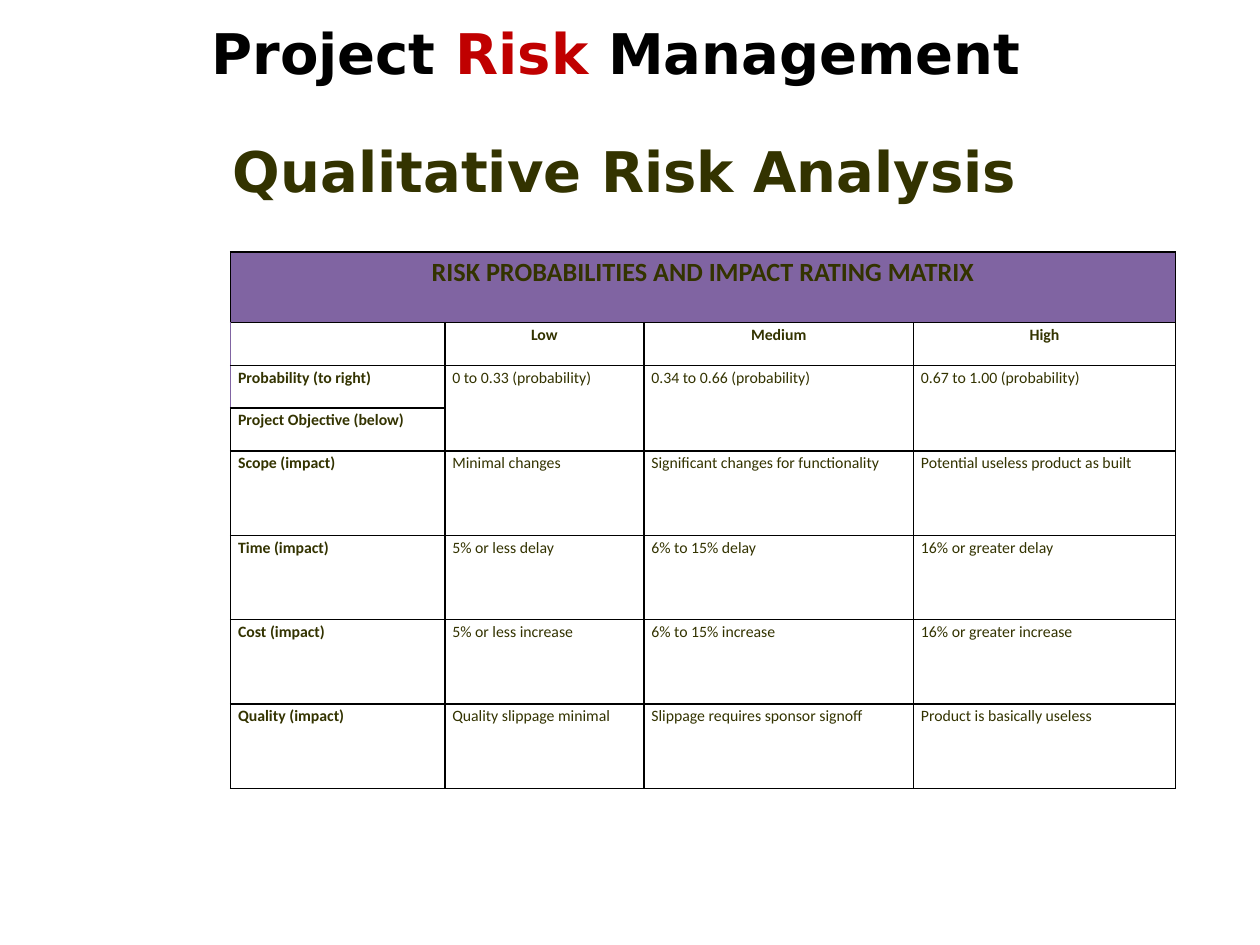
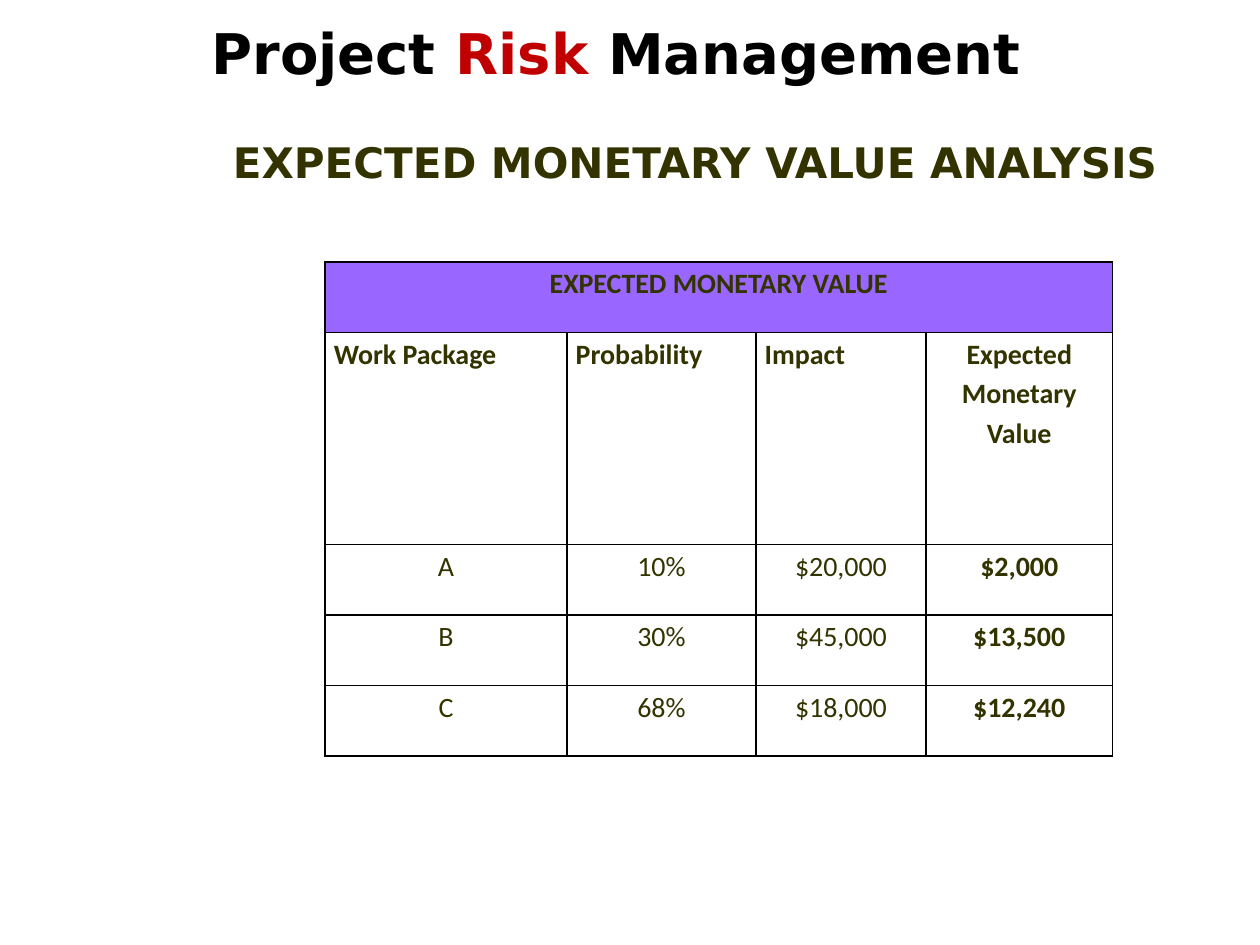
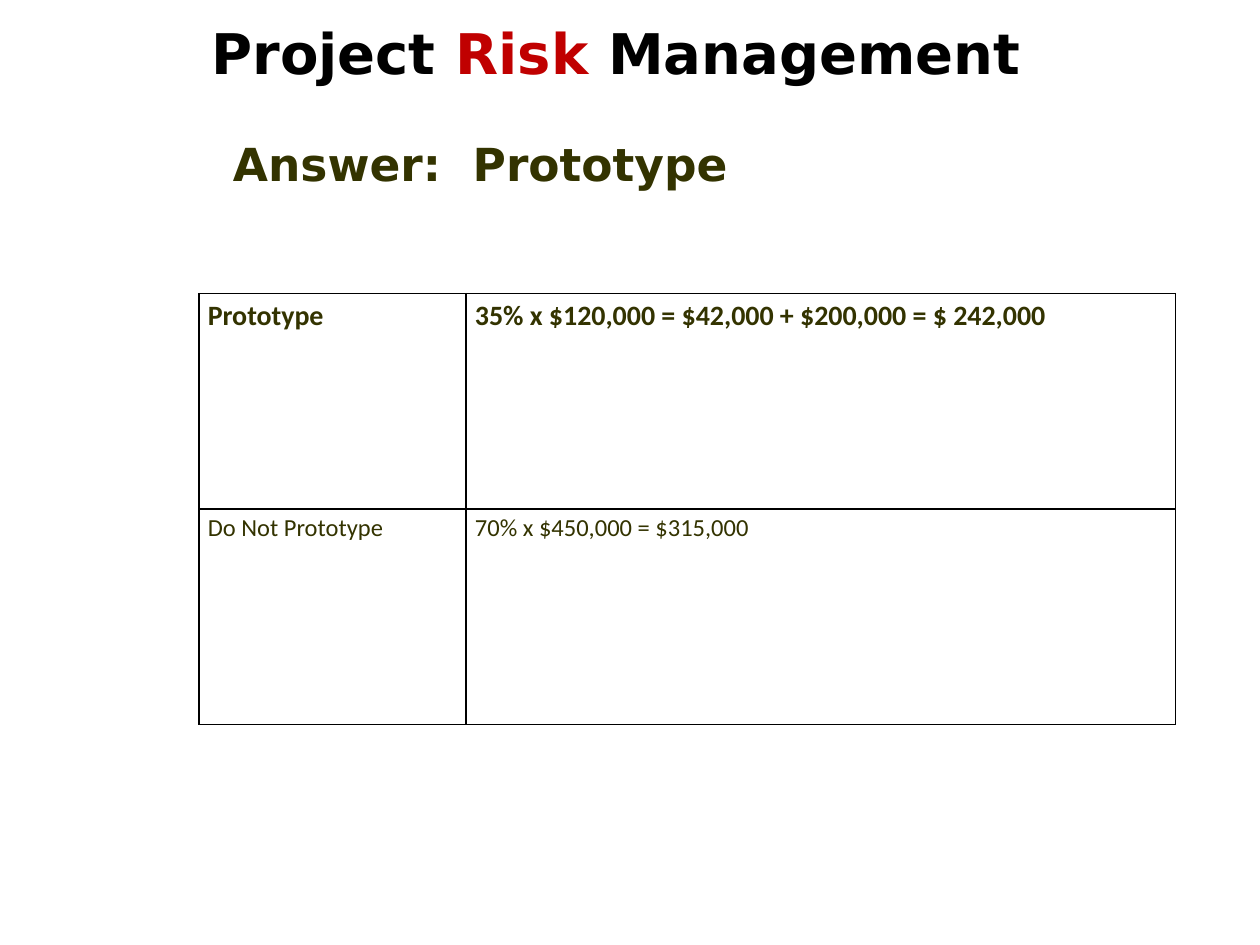
from lxml.etree import SubElement
from pptx import Presentation
from pptx.dml.color import RGBColor
from pptx.enum.text import MSO_ANCHOR, PP_ALIGN
from pptx.oxml.ns import qn
from pptx.util import Inches, Pt

TITLE_FONT, TABLE_FONT = "DejaVu Sans", "Calibri"
BLACK, RED, OLIVE, PURPLE, VIOLET = "000000", "C00000", "333300", "8064A2", "9966FF"


def color(hex_string):
    return RGBColor.from_string(hex_string)


def add_run(p, text, size, font, hex_string, bold=True):
    r = p.add_run()
    r.text = text
    r.font.size = Pt(size)
    r.font.name = font
    r.font.bold = bold
    r.font.color.rgb = color(hex_string)


# Content: spans are (row, column, last row, last column);
# size, bold and centered are rules on row i and column j
slides = [
    dict(
        heading="Qualitative Risk Analysis", heading_size=32, heading_width=7.58,
        left=1.83, top=2, inset=0.06, band=PURPLE,
        widths=[1.7, 1.58, 2.14, 2.08],
        heights=[0.56] + [0.34] * 3 + [0.67] * 4,
        spans=[(0, 0, 0, 3)] + [(2, j, 3, j) for j in (1, 2, 3)],
        purple_left=[(1, 0), (2, 0)],
        size=lambda i, j: 15 if i == 0 else 9,
        bold=lambda i, j: i < 2 or j == 0,
        centered=lambda i, j: i < 2,
        rows=[
            ["RISK PROBABILITIES AND IMPACT RATING MATRIX"],
            ["", "Low", "Medium", "High"],
            ["Probability (to right)", "0 to 0.33 (probability)",
             "0.34 to 0.66 (probability)", "0.67 to 1.00 (probability)"],
            ["Project Objective (below)"],
            ["Scope (impact)", "Minimal changes",
             "Significant changes for functionality",
             "Potential useless product as built"],
            ["Time (impact)", "5% or less delay", "6% to 15% delay",
             "16% or greater delay"],
            ["Cost (impact)", "5% or less increase", "6% to 15% increase",
             "16% or greater increase"],
            ["Quality (impact)", "Quality slippage minimal",
             "Slippage requires sponsor signoff", "Product is basically useless"],
        ],
    ),
    dict(
        heading="EXPECTED MONETARY VALUE ANALYSIS", heading_size=24, heading_width=8.25,
        left=2.58, top=2.08, inset=0.07, band=VIOLET,
        widths=[1.92, 1.5, 1.35, 1.48],
        heights=[0.56, 1.68] + [0.56] * 3,
        spans=[(0, 0, 0, 3)],
        purple_left=[],
        size=lambda i, j: 16,
        bold=lambda i, j: i < 2 or j == 3,
        centered=lambda i, j: i != 1 or j == 3,
        rows=[
            ["EXPECTED MONETARY VALUE"],
            ["Work Package", "Probability", "Impact", "Expected Monetary Value"],
            ["A", "10%", "$20,000", "$2,000"],
            ["B", "30%", "$45,000", "$13,500"],
            ["C", "68%", "$18,000", "$12,240"],
        ],
    ),
    dict(
        heading="Answer:  Prototype", heading_size=26, heading_width=7.58,
        left=1.58, top=2.33, inset=0.07, band=None,
        widths=[2.12, 5.63],
        heights=[1.71] * 2,
        spans=[],
        purple_left=[],
        size=lambda i, j: 16 if i == 0 else 14,
        bold=lambda i, j: i == 0,
        centered=lambda i, j: False,
        rows=[
            ["Prototype", "35% x $120,000 = $42,000 + $200,000 = $ 242,000"],
            ["Do Not Prototype", "70% x $450,000 = $315,000"],
        ],
    ),
]

prs = Presentation()
prs.slide_width, prs.slide_height = Inches(10), Inches(7.5)

for d in slides:
    s = prs.slides.add_slide(prs.slide_layouts[6])

    # Title, raised one line above the bottom of its box
    tf = s.shapes.add_textbox(Inches(1.58), Inches(0.25), Inches(7.83), Inches(1)).text_frame
    tf.word_wrap = True
    tf.vertical_anchor = MSO_ANCHOR.BOTTOM
    tf.margin_bottom = Inches(0.57)
    for text, hex_string in [("Project ", BLACK), ("Risk", RED), (" Management", BLACK)]:
        add_run(tf.paragraphs[0], text, 32, TITLE_FONT, hex_string)

    # Heading
    tf = s.shapes.add_textbox(Inches(1.75), Inches(1), Inches(d["heading_width"]),
                              Inches(5.75)).text_frame
    tf.word_wrap = True
    tf.margin_top = Inches(0.08)
    add_run(tf.paragraphs[0], d["heading"], d["heading_size"], TITLE_FONT, OLIVE)

    # Table grid
    widths, heights = d["widths"], d["heights"]
    table = s.shapes.add_table(len(heights), len(widths), Inches(d["left"]), Inches(d["top"]),
                               Inches(sum(widths)), Inches(sum(heights))).table
    table.first_row = table.horz_banding = False
    for column, width in zip(table.columns, widths):
        column.width = Inches(width)
    for row, height in zip(table.rows, heights):
        row.height = Inches(height)

    # Cell borders, fills and insets
    for i in range(len(heights)):
        for j in range(len(widths)):
            cell = table.cell(i, j)
            cell.margin_left = cell.margin_right = Inches(d["inset"])
            cell.margin_top = cell.margin_bottom = 0
            tcPr = cell._tc.get_or_add_tcPr()
            for side in "LRTB":
                purple = side == "L" and (i, j) in d["purple_left"]
                ln = SubElement(tcPr, qn("a:ln" + side), w=str(Pt(1)))
                fill = SubElement(ln, qn("a:solidFill"))
                SubElement(fill, qn("a:srgbClr"), val=PURPLE if purple else BLACK)
            if i == 0 and d["band"]:
                cell.fill.solid()
                cell.fill.fore_color.rgb = color(d["band"])
            else:
                cell.fill.background()
    for top, left, bottom, right in d["spans"]:
        table.cell(top, left).merge(table.cell(bottom, right))

    # Cell text
    for i, row in enumerate(d["rows"]):
        for j, text in enumerate(row):
            if not text:
                continue
            p = table.cell(i, j).text_frame.paragraphs[0]
            p.line_spacing = 1.15
            p.alignment = PP_ALIGN.CENTER if d["centered"](i, j) else PP_ALIGN.LEFT
            add_run(p, text, d["size"](i, j), TABLE_FONT, OLIVE, d["bold"](i, j))

prs.save("out.pptx")
